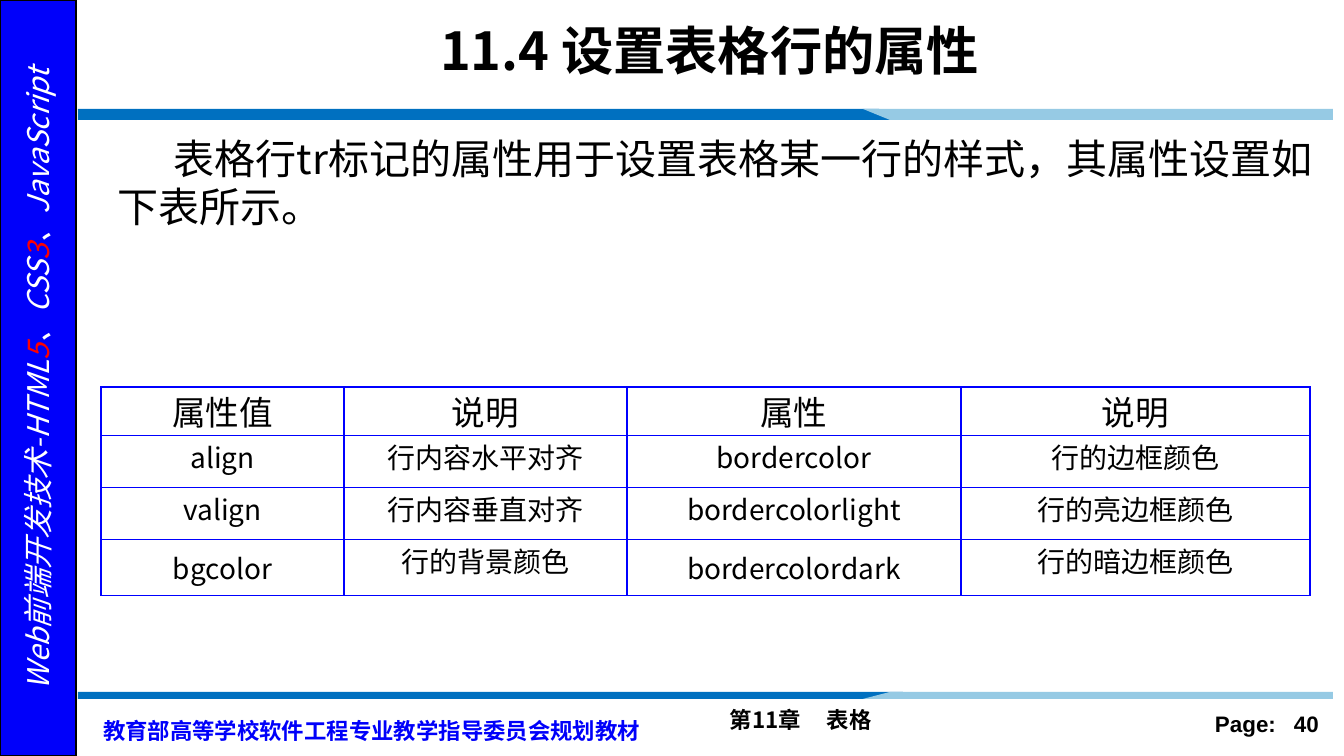
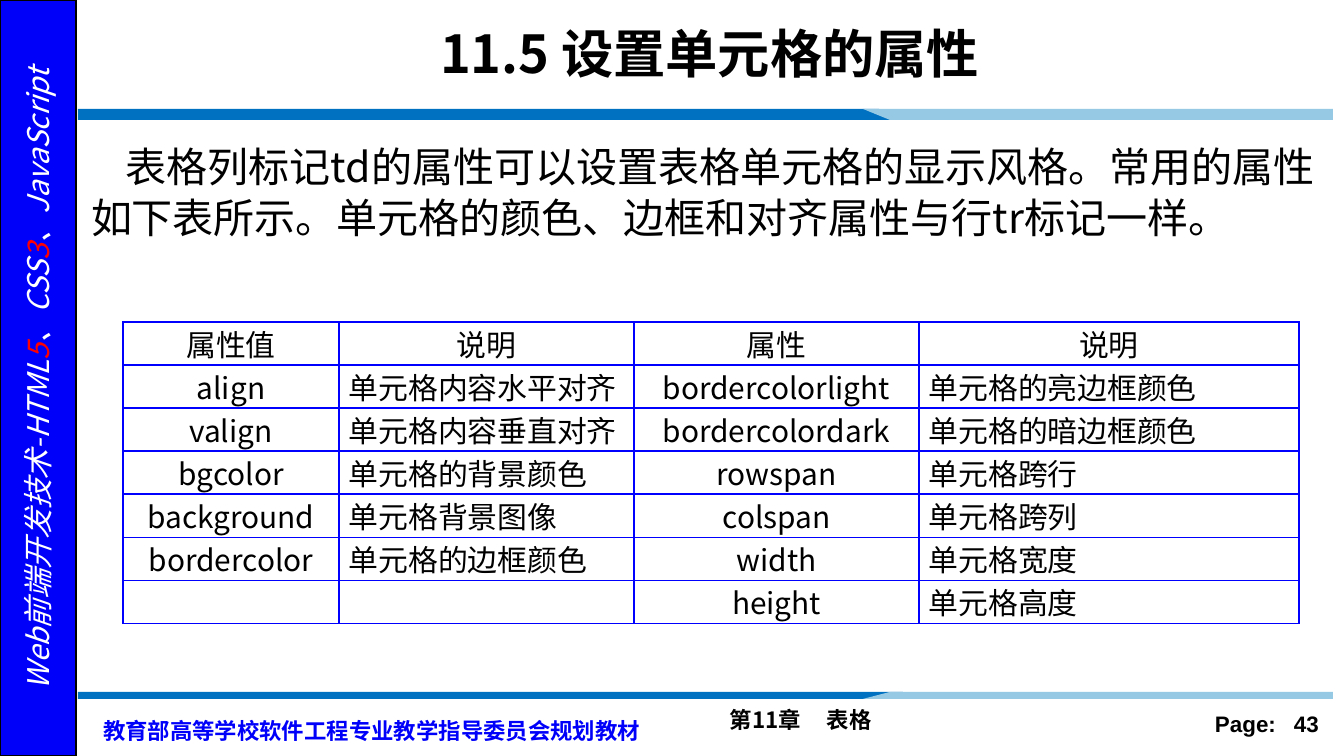
import pptx
import pptx.util
import pptx.dml.color
import pptx.enum.shapes
import pptx.enum.text
import pptx.oxml.ns
import lxml.etree

# Content
SIDEBAR = [("Web前端开发技术-HTML", "FFFFFF"), ("5", "FF0000"), ("、CSS", "FFFFFF"),
           ("3", "FF0000"), ("、JavaScript", "FFFFFF")]
PUBLISHER = "教育部高等学校软件工程专业教学指导委员会规划教材"
CHAPTER = "第11章\t表格"
HEADINGS = ("属性值", "说明", "属性", "说明")

SLIDES = [
    {"page": 40, "title": "11.4 设置表格行的属性", "title_top": 8,
     "body": "表格行tr标记的属性用于设置表格某一行的样式，其属性设置如下表所示。",
     "body_box": (78, 121, 1254, 124), "body_top": 13, "margin": 27, "indent": 56, "pitch": 26,
     "table_at": (101, 387), "columns": (243, 283, 334, 349), "heights": (48, 52, 52, 56),
     "sizes": (18, 15), "note_align": "CENTER",
     "rows": [("align", "行内容水平对齐", "bordercolor", "行的边框颜色"),
              ("valign", "行内容垂直对齐", "bordercolorlight", "行的亮边框颜色"),
              ("bgcolor", "行的背景颜色", "bordercolordark", "行的暗边框颜色")]},
    {"page": 43, "title": "11.5 设置单元格的属性", "title_top": 11,
     "body": "表格列标记td的属性可以设置表格单元格的显示风格。常用的属性如下表所示。"
             "单元格的颜色、边框和对齐属性与行tr标记一样。",
     "body_box": (78, 120, 1254, 146), "body_top": 19, "margin": 0, "indent": 35, "pitch": 27.5,
     "table_at": (123, 322), "columns": (216, 295, 285, 380), "heights": (43,) * 7,
     "sizes": (16, 16), "note_align": "JUSTIFY",
     "rows": [("align", "单元格内容水平对齐", "bordercolorlight", "单元格的亮边框颜色"),
              ("valign", "单元格内容垂直对齐", "bordercolordark", "单元格的暗边框颜色"),
              ("bgcolor", "单元格的背景颜色", "rowspan", "单元格跨行"),
              ("background", "单元格背景图像", "colspan", "单元格跨列"),
              ("bordercolor", "单元格的边框颜色", "width", "单元格宽度"),
              ("", "", "height", "单元格高度")]},
]

# Shared style
SCALE = 914400 / 134.4
WIDTH, HEIGHT = 1344, 756
CJK, LATIN = "Noto Sans CJK SC", "Arial"
BLACK, BLUE, GRID = "000000", "0000FA", "0000FF"
BAND_DARK, BAND_LIGHT = "0070C0", "96CAE4"
ALIGN = pptx.enum.text.PP_ALIGN
ANCHOR = pptx.enum.text.MSO_ANCHOR


def px(value):
    return pptx.util.Emu(round(value * SCALE))


def color(code):
    return pptx.dml.color.RGBColor.from_string(code)


def add_element(parent, tag, index=None, **attributes):
    element = lxml.etree.Element(pptx.oxml.ns.qn(tag), **attributes)
    parent.insert(len(parent) if index is None else index, element)
    return element


def style(span, size, code=BLACK, bold=False, italic=False, face=CJK):
    font = span.font
    font.size, font.bold, font.italic = pptx.util.Pt(size), bold, italic
    font.color.rgb = color(code)
    font.name = face
    add_element(span._r.get_or_add_rPr(), "a:ea", typeface=face)


def place(shape, left, top, width, height):
    shape.left, shape.top, shape.width, shape.height = map(px, (left, top, width, height))


def set_margins(target, left, top, right, bottom):
    target.margin_left, target.margin_top = px(left), px(top)
    target.margin_right, target.margin_bottom = px(right), px(bottom)


def prepare(shape, margins=(13, 7, 13, 7), anchor=ANCHOR.TOP):
    frame = shape.text_frame
    frame.word_wrap = True
    frame.auto_size = pptx.enum.text.MSO_AUTO_SIZE.NONE
    frame.vertical_anchor = anchor
    set_margins(frame, *margins)
    return frame


def paint(shape, code):
    shape.shadow.inherit = False
    shape.fill.solid()
    shape.fill.fore_color.rgb = color(code)
    shape.line.fill.background()


def add_footer(page, box, text, code=BLACK, face=CJK, inset=13, tab=None):
    frame = prepare(page.shapes.add_textbox(*map(px, box)), (inset, 7, 13, 7))
    para = frame.paragraphs[0]
    para.text = text
    if tab:
        tabs = add_element(para._p.get_or_add_pPr(), "a:tabLst")
        add_element(tabs, "a:tab", pos=str(px(tab)), algn="l")
    style(para.runs[0], 12, code, bold=True, face=face)
    return para


def add_band(page, long_edge, short_edge):
    """Two slanted strips; the dark one is wider along short_edge."""
    strips = [(BAND_DARK, (78, 879, 903, 78)), (BAND_LIGHT, (863, 1333, 1333, 890))]
    for code, (first, second, third, fourth) in strips:
        builder = page.shapes.build_freeform(first, long_edge, scale=SCALE)
        builder.add_line_segments([(second, long_edge), (third, short_edge), (fourth, short_edge)])
        paint(builder.convert_to_shape(), code)


def add_frame(page, number):
    # Sidebar
    sidebar = page.shapes.add_shape(pptx.enum.shapes.MSO_SHAPE.RECTANGLE, 0, 0, px(76), px(HEIGHT))
    paint(sidebar, BLUE)
    sidebar.line.color.rgb = color(BLACK)
    sidebar.line.width = pptx.util.Pt(1)
    box = page.shapes.add_textbox(*map(px, (-311, 354, 698, 50)))
    box.rotation = 270
    para = prepare(box, (0, 0, 0, 0), ANCHOR.MIDDLE).paragraphs[0]
    para.alignment = ALIGN.CENTER
    for text, code in SIDEBAR:
        span = para.add_run()
        span.text = text
        style(span, 16, code, italic=True)

    # Bands and footers
    add_band(page, 109, 120)
    add_band(page, 699, 692)
    publisher = add_footer(page, (90, 703, 582, 47), PUBLISHER, BLUE)
    publisher.line_spacing = pptx.util.Pt(18)
    add_footer(page, (717, 699, 442, 40), CHAPTER, tab=97)
    add_footer(page, (1165, 703, 168, 40), f"Page:\t{number}", face=LATIN, inset=50, tab=79)


def fill_placeholders(page, content):
    title, body = page.placeholders
    place(title, 145, content["title_top"], 1141, 83)
    para = prepare(title, (13, 7, 25, 7), ANCHOR.MIDDLE).paragraphs[0]
    para.text = content["title"]
    para.alignment = ALIGN.CENTER
    style(para.runs[0], 28, bold=True)

    place(body, *content["body_box"])
    para = prepare(body, (13, content["body_top"], 13, 7)).paragraphs[0]
    para.text = content["body"]
    para.alignment = ALIGN.LEFT
    para.space_before = pptx.util.Pt(0)
    para.line_spacing = pptx.util.Pt(content["pitch"])
    properties = para._p.get_or_add_pPr()
    properties.set("marL", str(px(content["margin"])))
    properties.set("indent", str(px(content["indent"])))
    add_element(properties, "a:buNone")
    style(para.runs[0], 22)


def add_borders(cell):
    properties = cell._tc.get_or_add_tcPr()
    for index, side in enumerate("LRTB"):
        line = add_element(properties, f"a:ln{side}", index, w=str(pptx.util.Pt(1)))
        add_element(add_element(line, "a:solidFill"), "a:srgbClr", val=GRID)


def add_attribute_table(page, content):
    rows = [HEADINGS] + content["rows"]
    columns, heights = content["columns"], content["heights"]
    box = (*content["table_at"], sum(columns), sum(heights))
    table = page.shapes.add_table(len(rows), len(columns), *map(px, box)).table
    table.first_row = table.horz_banding = False
    for column, width in zip(table.columns, columns):
        column.width = px(width)
    for row, height in zip(table.rows, heights):
        row.height = px(height)

    for row_index, row in enumerate(rows):
        for column_index, text in enumerate(row):
            cell = table.cell(row_index, column_index)
            is_name = column_index % 2 == 0
            set_margins(cell, 10, 0, 10, 0)
            cell.fill.background()
            add_borders(cell)
            if is_name and row_index == len(rows) - 1:
                cell.vertical_anchor = ANCHOR.MIDDLE
            if not text:
                continue
            para = cell.text_frame.paragraphs[0]
            para.text = text
            centred = is_name or row_index == 0
            para.alignment = ALIGN.CENTER if centred else ALIGN[content["note_align"]]
            style(para.runs[0], content["sizes"][min(row_index, 1)])


def main():
    deck = pptx.Presentation()
    deck.slide_width, deck.slide_height = px(WIDTH), px(HEIGHT)
    for content in SLIDES:
        page = deck.slides.add_slide(deck.slide_layouts[1])
        add_frame(page, content["page"])
        fill_placeholders(page, content)
        add_attribute_table(page, content)
    deck.save("out.pptx")


if __name__ == "__main__":
    main()
